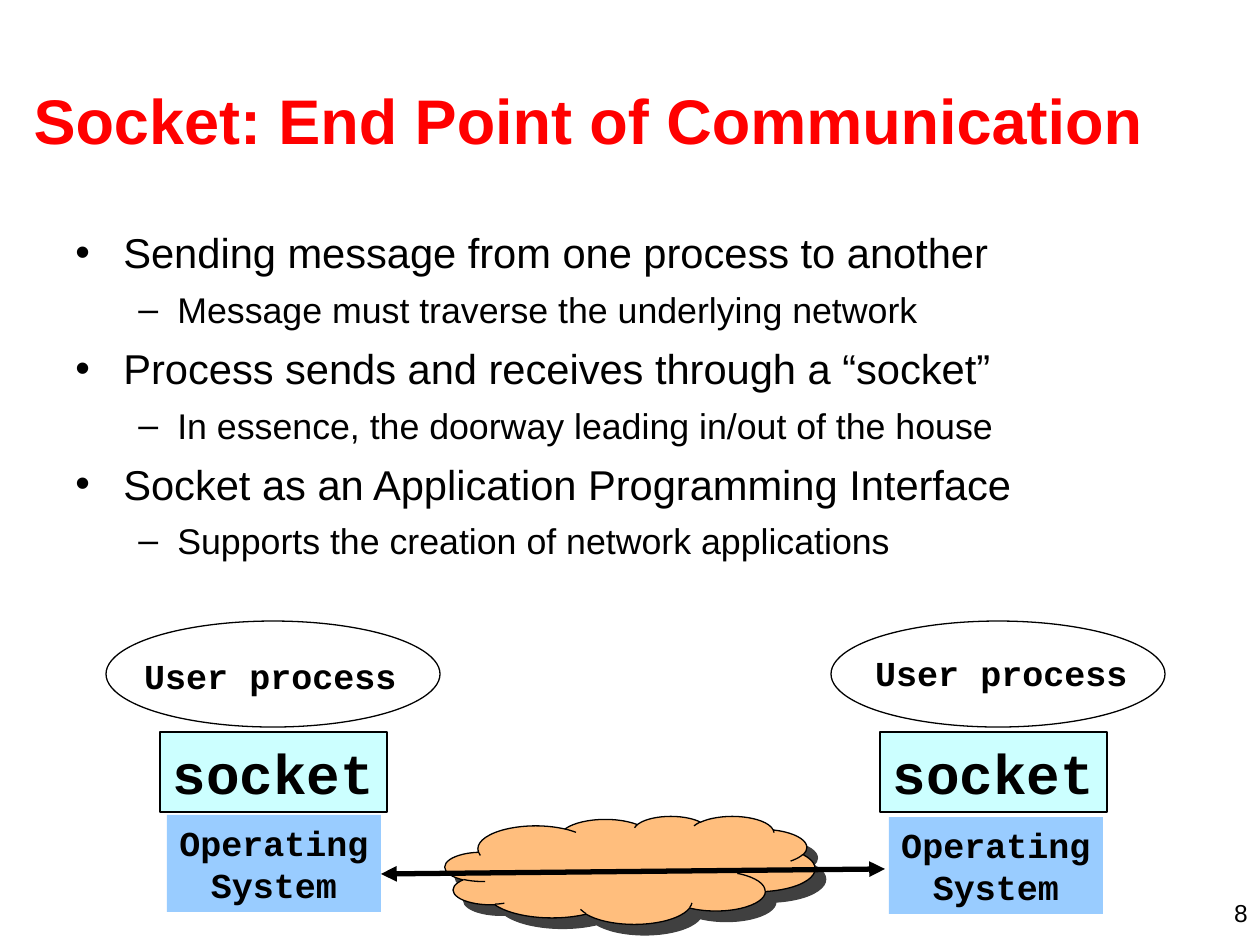
from lxml.etree import SubElement
from pptx import Presentation
from pptx.dml.color import RGBColor
from pptx.enum.shapes import MSO_CONNECTOR, MSO_SHAPE
from pptx.enum.text import MSO_ANCHOR, MSO_AUTO_SIZE, PP_ALIGN
from pptx.oxml.ns import qn
from pptx.util import Inches, Pt

EMU_PER_PX = 914400 / 126
BLACK = "000000"

TITLE = "Socket: End Point of Communication"
POINTS = [
    ("Sending message from one process to another",
     "Message must traverse the underlying network"),
    ("Process sends and receives through a “socket”",
     "In essence, the doorway leading in/out of the house"),
    ("Socket as an Application Programming Interface",
     "Supports the creation of network applications"),
]
LEVELS = [
    {"bullet": "•", "size": 23.8, "before": 7, "margin": 48, "hang": 48},
    {"bullet": "–", "size": 20.4, "before": 6, "margin": 102, "hang": 39},
]
# Left and top of each part of the two hosts, in px
HOSTS = [
    {"oval": (106, 621), "process": (132, 648), "socket": (160, 732), "system": (167, 815)},
    {"oval": (831, 621), "process": (863, 645), "socket": (880, 732), "system": (889, 817)},
]
SIZES = {"oval": (334, 106), "process": (277, 55), "socket": (227, 80), "system": (214, 97)}
CODE_FONT = {"name": "Courier New", "bold": True}
# Narrow side margins leave the widest label room on one line
CODE_FRAME = {
    "word_wrap": False,
    "auto_size": MSO_AUTO_SIZE.NONE,
    "vertical_anchor": MSO_ANCHOR.TOP,
    "margin_left": Inches(0.02),
    "margin_right": Inches(0.02),
}


def px(*lengths):
    return [round(length * EMU_PER_PX) for length in lengths]


def color(value):
    return RGBColor.from_string(value)


def set_values(target, values):
    for name, value in values.items():
        setattr(target, name, value)


def set_font(paragraph, rgb=BLACK, **values):
    set_values(paragraph.font, values)
    paragraph.font.color.rgb = color(rgb)


def add_box(slide, box, kind=None, fill=None, line=None):
    """Add a preset shape, or a text box when no kind is given."""
    if kind is None:
        return slide.shapes.add_textbox(*px(*box))
    shape = slide.shapes.add_shape(kind, *px(*box))
    shape.shadow.inherit = False
    if fill:
        shape.fill.solid()
        shape.fill.fore_color.rgb = color(fill)
    else:
        shape.fill.background()
    if line:
        shape.line.color.rgb = color(line)
        shape.line.width = Pt(0.75)
    else:
        shape.line.fill.background()
    return shape


def write_code(shape, lines, size):
    """Write centred, unwrapped lines in the code font."""
    frame = shape.text_frame
    set_values(frame, CODE_FRAME)
    frame.text = "\n".join(lines)
    for paragraph in frame.paragraphs:
        paragraph.alignment = PP_ALIGN.CENTER
        set_font(paragraph, size=Pt(size), **CODE_FONT)


def add_title(slide):
    title = slide.shapes.title
    title.left, title.top, title.width, title.height = px(21, 40, 1207, 158)
    title.text_frame.text = TITLE
    title.text_frame.vertical_anchor = MSO_ANCHOR.MIDDLE
    paragraph = title.text_frame.paragraphs[0]
    paragraph.alignment = PP_ALIGN.LEFT
    set_font(paragraph, "FF0000", name="Arial", size=Pt(36), bold=True)


def add_points(slide):
    frame = add_box(slide, (63, 221, 1134, 352)).text_frame
    frame.word_wrap = True
    entries = [(level, text) for pair in POINTS for level, text in enumerate(pair)]
    for index, (level, text) in enumerate(entries):
        paragraph = frame.add_paragraph() if index else frame.paragraphs[0]
        style = LEVELS[level]
        paragraph.text = text
        paragraph.level = level
        if index:
            paragraph.space_before = Pt(style["before"])
        margin, hang = px(style["margin"], style["hang"])
        properties = paragraph._p.get_or_add_pPr()
        properties.set("marL", str(margin))
        properties.set("indent", str(-hang))
        SubElement(properties, qn("a:buFont"), typeface="Arial")
        SubElement(properties, qn("a:buChar"), char=style["bullet"])
        set_font(paragraph, name="Arial", size=Pt(style["size"]))


def add_host(slide, places):
    box = {part: place + SIZES[part] for part, place in places.items()}
    add_box(slide, box["oval"], MSO_SHAPE.OVAL, line=BLACK)
    socket = add_box(slide, box["socket"], MSO_SHAPE.RECTANGLE, "CCFFFF", BLACK)
    write_code(socket, ["socket"], 32)
    write_code(add_box(slide, box["process"]), ["User process"], 20)
    system = add_box(slide, box["system"], MSO_SHAPE.RECTANGLE, "99CCFF")
    write_code(system, ["Operating", "System"], 20)


def add_network(slide):
    cloud = add_box(slide, (445, 816, 370, 108), MSO_SHAPE.CLOUD, "FFBE7D", BLACK)
    effects = cloud._element.spPr.find(qn("a:effectLst"))
    shadow = SubElement(effects, qn("a:outerShdw"), dist=str(Pt(8.5)),
                        dir="2700000", algn="ctr", rotWithShape="0")
    shade = SubElement(shadow, qn("a:srgbClr"), val=BLACK)
    SubElement(shade, qn("a:alpha"), val="75000")

    link = slide.shapes.add_connector(MSO_CONNECTOR.STRAIGHT, *px(381, 874, 885, 869))
    link.line.color.rgb = color(BLACK)
    link.line.width = Pt(3)
    outline = link.line._get_or_add_ln()
    for end in ("a:headEnd", "a:tailEnd"):
        SubElement(outline, qn(end), type="triangle")
    SubElement(link._element.spPr, qn("a:effectLst"))


def add_page_number(slide):
    frame = add_box(slide, (966, 892, 294, 32)).text_frame
    frame.word_wrap = True
    frame.text = "8"
    frame.paragraphs[0].alignment = PP_ALIGN.RIGHT
    set_font(frame.paragraphs[0], name="Arial", size=Pt(14))


def main():
    presentation = Presentation()
    presentation.slide_width, presentation.slide_height = Inches(10), Inches(7.5)
    slide = presentation.slides.add_slide(presentation.slide_layouts[5])
    add_page_number(slide)
    add_title(slide)
    add_points(slide)
    for places in HOSTS:
        add_host(slide, places)
    add_network(slide)
    presentation.save("out.pptx")


if __name__ == "__main__":
    main()
